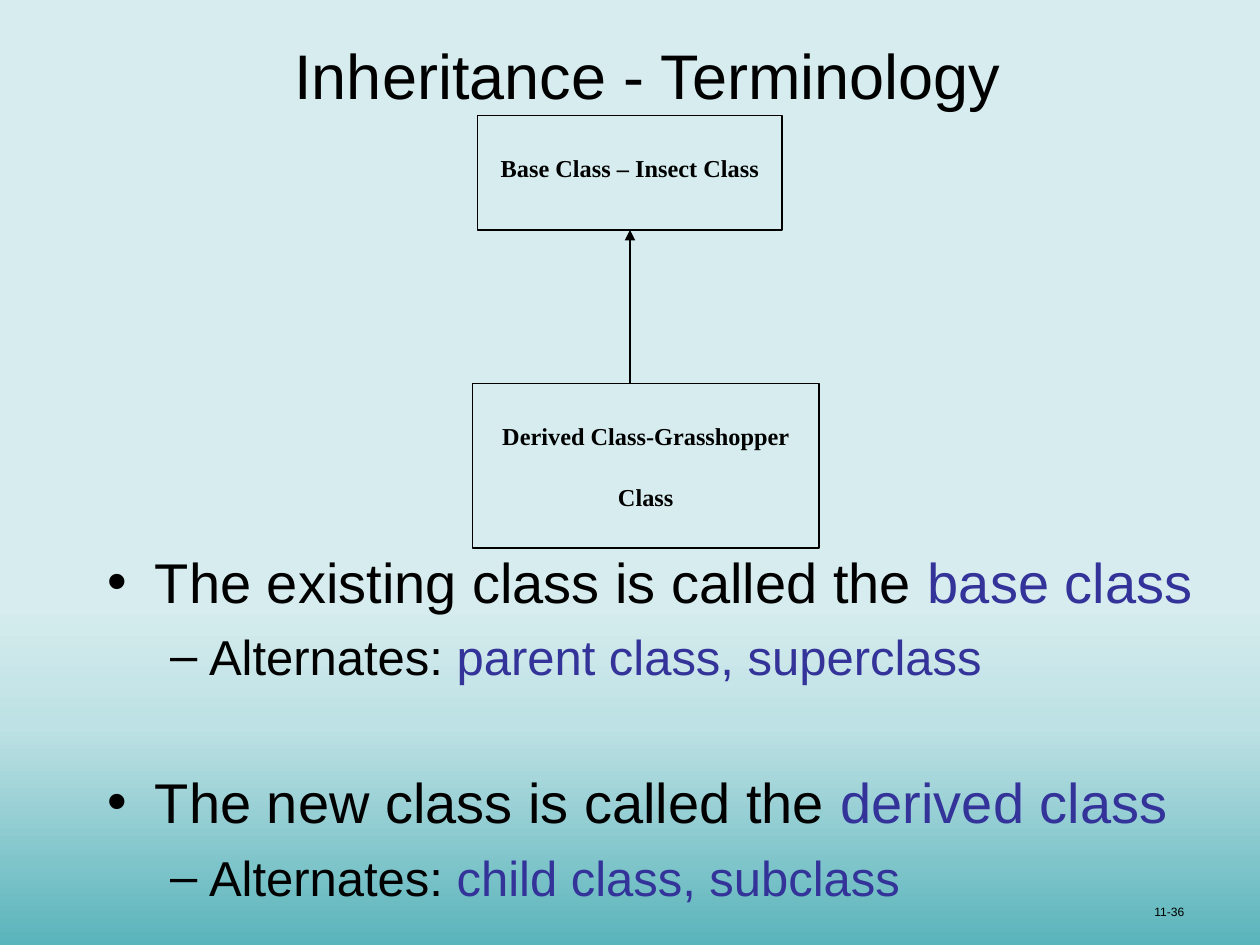
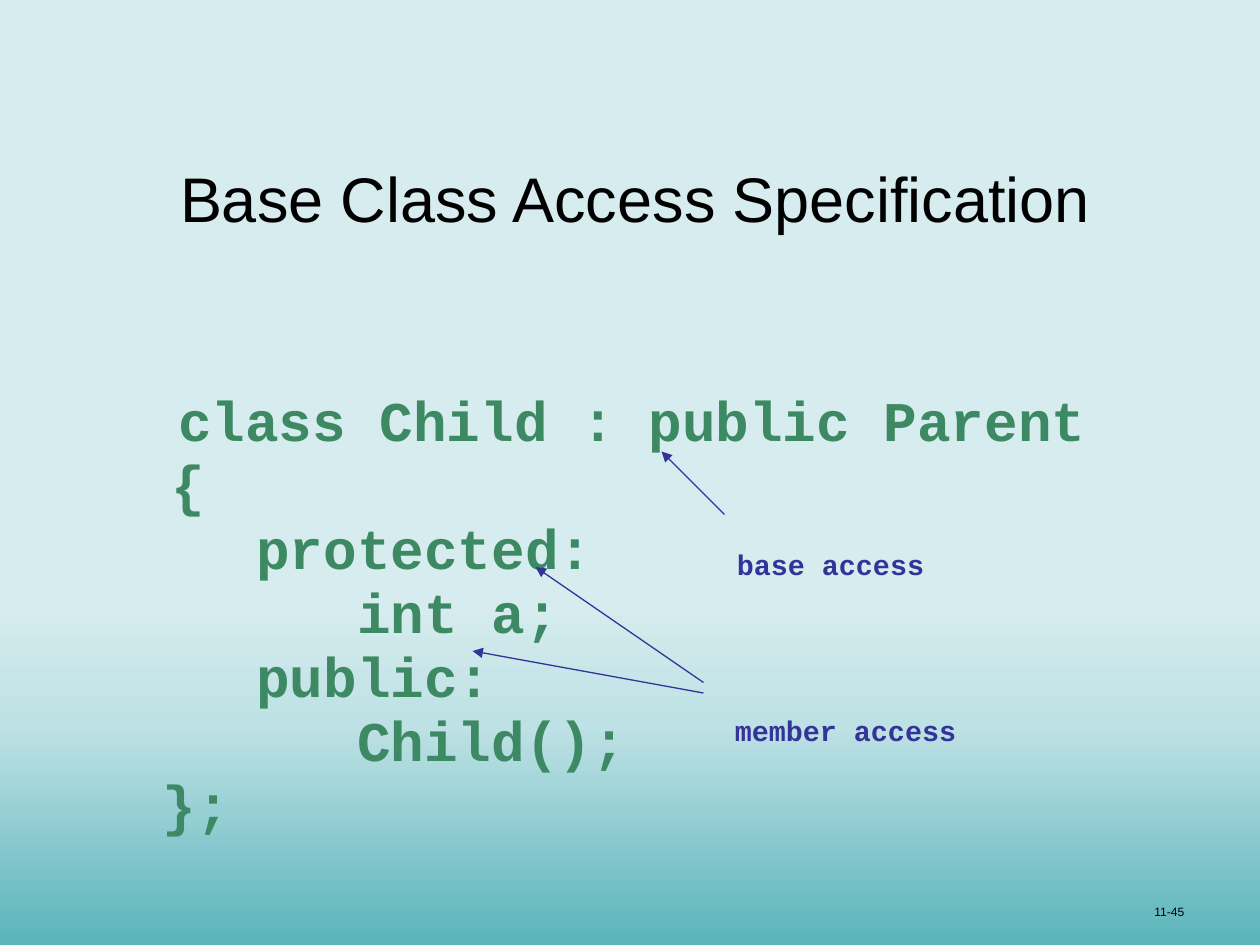
from lxml import etree
from pptx import Presentation
from pptx.dml.color import RGBColor
from pptx.enum.shapes import MSO_CONNECTOR, MSO_SHAPE
from pptx.enum.text import MSO_ANCHOR, MSO_AUTO_SIZE, PP_ALIGN
from pptx.oxml.ns import qn
from pptx.util import Inches, Pt

STRAIGHT, RECTANGLE = MSO_CONNECTOR.STRAIGHT, MSO_SHAPE.RECTANGLE
TOP, BOTTOM = MSO_ANCHOR.TOP, MSO_ANCHOR.BOTTOM
LEFT, CENTER, RIGHT = PP_ALIGN.LEFT, PP_ALIGN.CENTER, PP_ALIGN.RIGHT
FIXED = MSO_AUTO_SIZE.NONE

BLACK = RGBColor(0x00, 0x00, 0x00)
INDIGO = RGBColor(0x33, 0x33, 0x99)
GREEN = RGBColor(0x3D, 0x89, 0x63)
TEAL = RGBColor(0x5A, 0xB4, 0xBB)
AQUA = RGBColor(0xBD, 0xE1, 0xE4)
MIST = RGBColor(0xD6, 0xEC, 0xEE)
BACKGROUND_STOPS = [(0, TEAL), (23, AQUA), (36, MIST), (100, MIST)]

SANS, SERIF, MONO = "Arial", "Times New Roman", "Courier New"
WIDTH, HEIGHT = Inches(10), Inches(7.5)
COLUMN, ROW = WIDTH / 120, HEIGHT / 90
NUMBER_BOX = (89, 82.1, 25, 6)

TERMS = [
    (0, "The existing class is called the ", "base class", 0),
    (1, "Alternates:", " parent class, superclass", 7),
    (0, "The new class is called the ", "derived class", 47),
    (1, "Alternates:", " child class, subclass", 7),
]
TERM_LEVELS = [("•", 32, 0.38, -0.38), ("–", 28, 0.81, -0.31)]
CODE = [
    (0.98, "class Child : public Parent"),
    (0.93, "{"),
    (1.6, "protected:"),
    (2.4, "int a;"),
    (1.6, "public:"),
    (2.4, "Child();"),
    (0.86, "};"),
]


def grid(*cells):
    """Turn column, row pairs into slide lengths."""
    return [round(cell * (ROW if index % 2 else COLUMN)) for index, cell in enumerate(cells)]


def move(shape, box):
    """Place a shape in a box of the grid."""
    shape.left, shape.top, shape.width, shape.height = grid(*box)


def style(paragraph, font, size, color, bold=False, align=LEFT):
    """Format a whole paragraph."""
    paragraph.alignment = align
    face = paragraph.font
    face.name, face.size, face.bold = font, Pt(size), bold
    face.color.rgb = color


def indent(paragraph, margin, first=0, bullet=None):
    """Set the indent in inches and the bullet, if any."""
    props = paragraph._p.get_or_add_pPr()
    props.set("marL", str(Inches(margin)))
    props.set("indent", str(Inches(first)))
    mark = etree.Element(qn("a:buChar" if bullet else "a:buNone"))
    if bullet:
        mark.set("char", bullet)
    default = props.find(qn("a:defRPr"))
    default.addprevious(mark)


def write_lowered(shape, text, font, size, color, bold, align, anchor):
    """Write one wrapped paragraph in subscript."""
    frame = shape.text_frame
    frame.word_wrap, frame.vertical_anchor = True, anchor
    paragraph = frame.paragraphs[0]
    span = paragraph.add_run()
    span.text = text
    span._r.get_or_add_rPr().set("baseline", "-33000")
    style(paragraph, font, size, color, bold, align)


def paint_background(master):
    """Give the master its vertical gradient."""
    master.background.fill.gradient()
    gradient = master.element.find(".//" + qn("a:gradFill"))
    for child in list(gradient):
        gradient.remove(child)
    stops = etree.SubElement(gradient, qn("a:gsLst"))
    for share, color in BACKGROUND_STOPS:
        stop = etree.SubElement(stops, qn("a:gs"), pos=str(share * 1000))
        etree.SubElement(stop, qn("a:srgbClr"), val=str(color))
    etree.SubElement(gradient, qn("a:lin"), ang="16200000", scaled="0")


def add_page(deck, title, title_box, number):
    """Add a slide with its title and page number."""
    page = deck.slides.add_slide(deck.slide_layouts[1])
    heading = page.shapes.title
    move(heading, title_box)
    frame = heading.text_frame
    frame.text, frame.auto_size, frame.vertical_anchor = title, FIXED, BOTTOM
    style(frame.paragraphs[0], SANS, 36, BLACK, align=CENTER)
    footer = page.shapes.add_textbox(*grid(*NUMBER_BOX))
    write_lowered(footer, number, SANS, 12, BLACK, False, RIGHT, BOTTOM)
    return page


def open_body(page, box, inset):
    """Place the body placeholder and return its text frame."""
    body = page.placeholders[1]
    move(body, box)
    frame = body.text_frame
    frame.auto_size, frame.vertical_anchor = FIXED, TOP
    frame.margin_top, frame.margin_right = Inches(inset), 0
    return frame


def next_paragraph(frame, index):
    """Return the first paragraph or a new one."""
    return frame.add_paragraph() if index else frame.paragraphs[0]


def add_arrow(page, start, end, color):
    """Draw a thin arrow between two grid points."""
    arrow = page.shapes.add_connector(STRAIGHT, *grid(*start, *end))
    arrow.line.color.rgb, arrow.line.width = color, Pt(0.75)
    etree.SubElement(arrow.line._get_or_add_ln(), qn("a:tailEnd"), type="triangle")
    etree.SubElement(arrow._element.spPr, qn("a:effectLst"))
    return arrow


def add_class_box(page, text, box):
    """Draw an outlined class box with its name."""
    shape = page.shapes.add_shape(RECTANGLE, *grid(*box))
    shape.shadow.inherit = False
    shape.fill.background()
    shape.line.color.rgb, shape.line.width = BLACK, Pt(0.75)
    write_lowered(shape, text, SERIF, 24, BLACK, True, CENTER, TOP)
    return shape


def add_terms(page, box):
    """List the terms with their alternates."""
    frame = open_body(page, box, 0.8)
    for index, (level, lead, term, gap) in enumerate(TERMS):
        bullet, size, margin, first = TERM_LEVELS[level]
        paragraph = next_paragraph(frame, index)
        paragraph.level, paragraph.space_before = level, Pt(gap)
        for text, color in ((lead, BLACK), (term, INDIGO)):
            span = paragraph.add_run()
            span.text, span.font.color.rgb = text, color
        style(paragraph, SANS, size, BLACK)
        indent(paragraph, margin, first, bullet)


def add_code(page, box):
    """Show the class declaration."""
    frame = open_body(page, box, 1.37)
    for index, (margin, text) in enumerate(CODE):
        paragraph = next_paragraph(frame, index)
        paragraph.text = text
        paragraph.line_spacing, paragraph.space_before = 0.9, Pt(2)
        style(paragraph, MONO, 32, GREEN, True)
        indent(paragraph, margin)


def add_label(page, text, box, arrows):
    """Add a note with arrows to the code it explains."""
    label = page.shapes.add_textbox(*grid(*box))
    write_lowered(label, text, MONO, 28, INDIGO, True, LEFT, TOP)
    for start, end in arrows:
        add_arrow(page, start, end, INDIGO)


def build_terminology(deck):
    """Build the slide on inheritance terms."""
    page = add_page(deck, "Inheritance - Terminology", (3.5, -1.8, 113, 13.1), "11-36")
    page.shapes.title.text_frame.margin_left = Inches(0.38)
    add_terms(page, (9, 42.5, 108, 48))
    base = add_class_box(page, "Base Class – Insect Class", (45.5, 11, 29, 10.9))
    add_class_box(page, "Derived Class-Grasshopper Class", (45, 36.5, 33, 15.7))
    add_arrow(page, (60, 36.5), (60, 21.9), BLACK).end_connect(base, 2)


def build_access(deck):
    """Build the slide on base class access."""
    page = add_page(deck, "Base Class Access Specification", (5, 8, 111, 15), "11-45")
    add_code(page, (4, 21, 108.8, 60))
    add_label(page, "member access", (68.8, 63.8, 45.2, 6.8),
              [((67, 66), (45, 62)), ((67, 65), (51, 54))])
    add_label(page, "base access", (69, 48, 37, 6.8), [((69, 49), (63, 43))])


def main():
    """Build and save the deck."""
    deck = Presentation()
    deck.slide_width, deck.slide_height = WIDTH, HEIGHT
    paint_background(deck.slide_master)
    build_terminology(deck)
    build_access(deck)
    deck.save("out.pptx")


if __name__ == "__main__":
    main()
